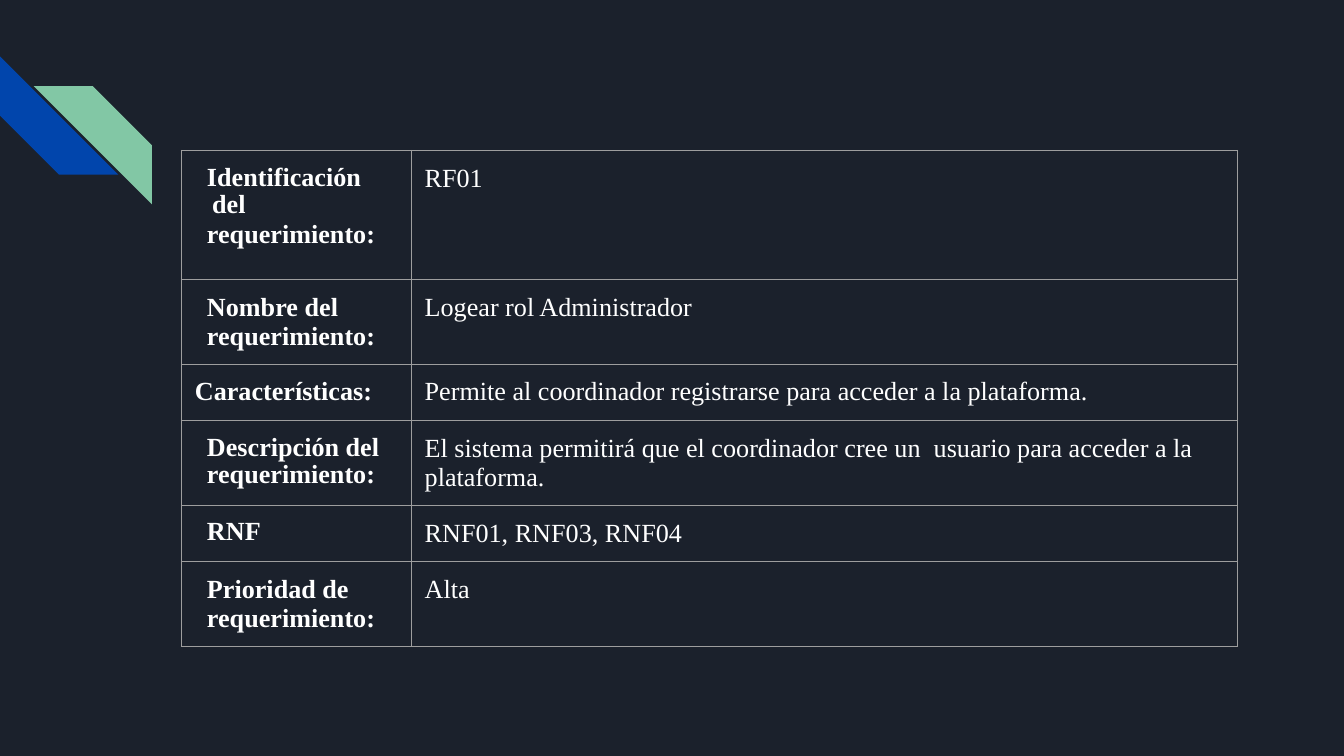
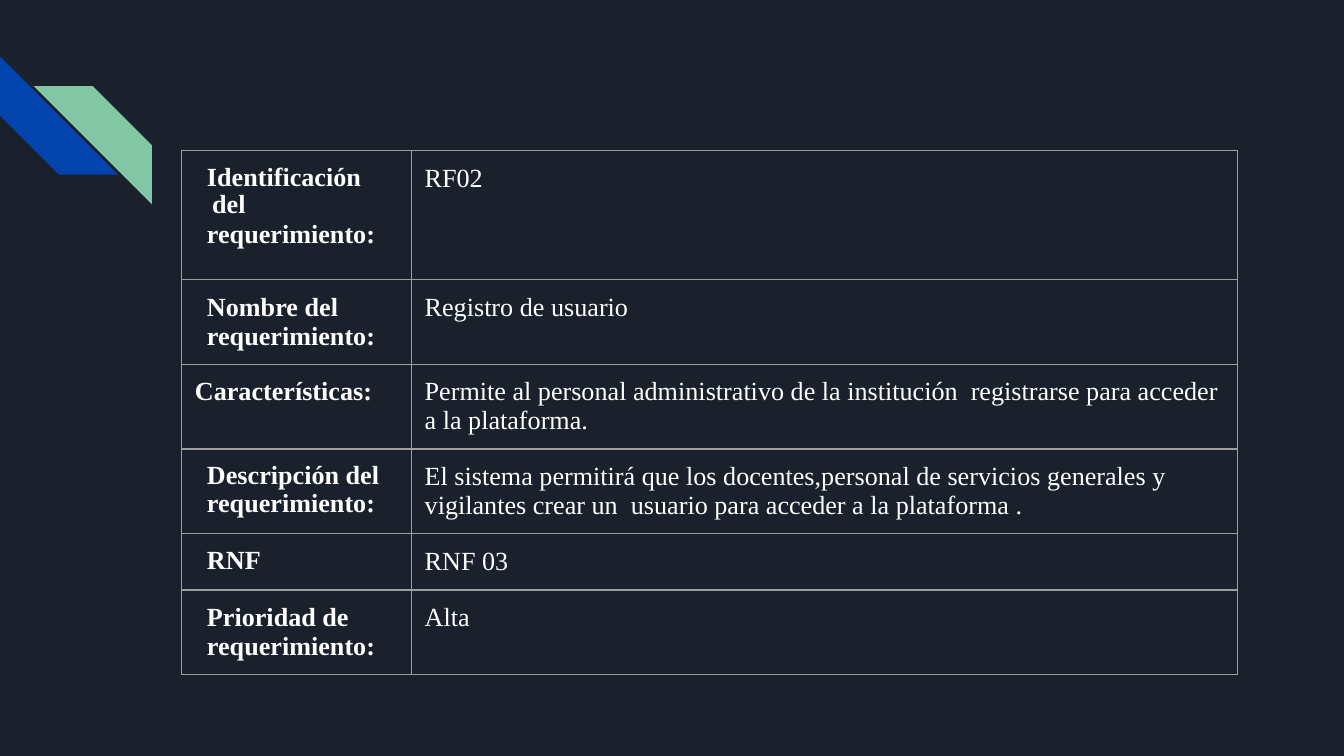
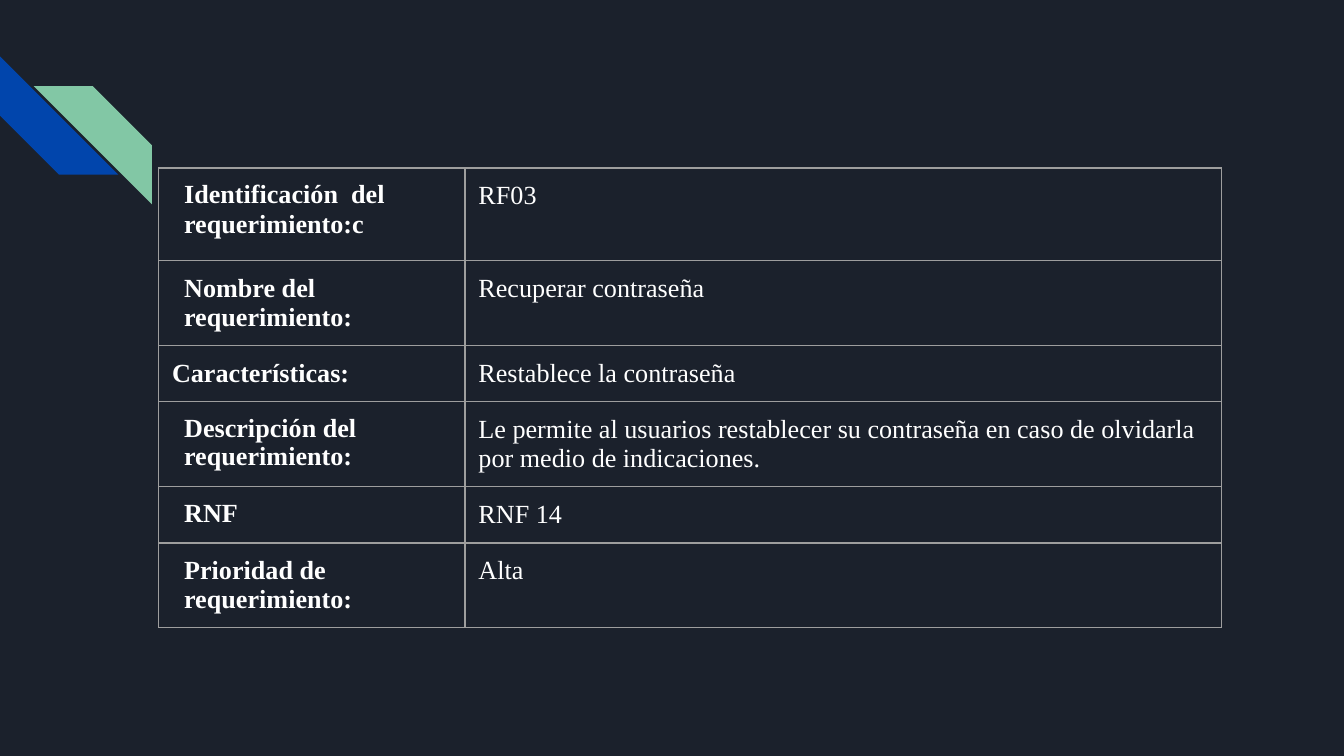
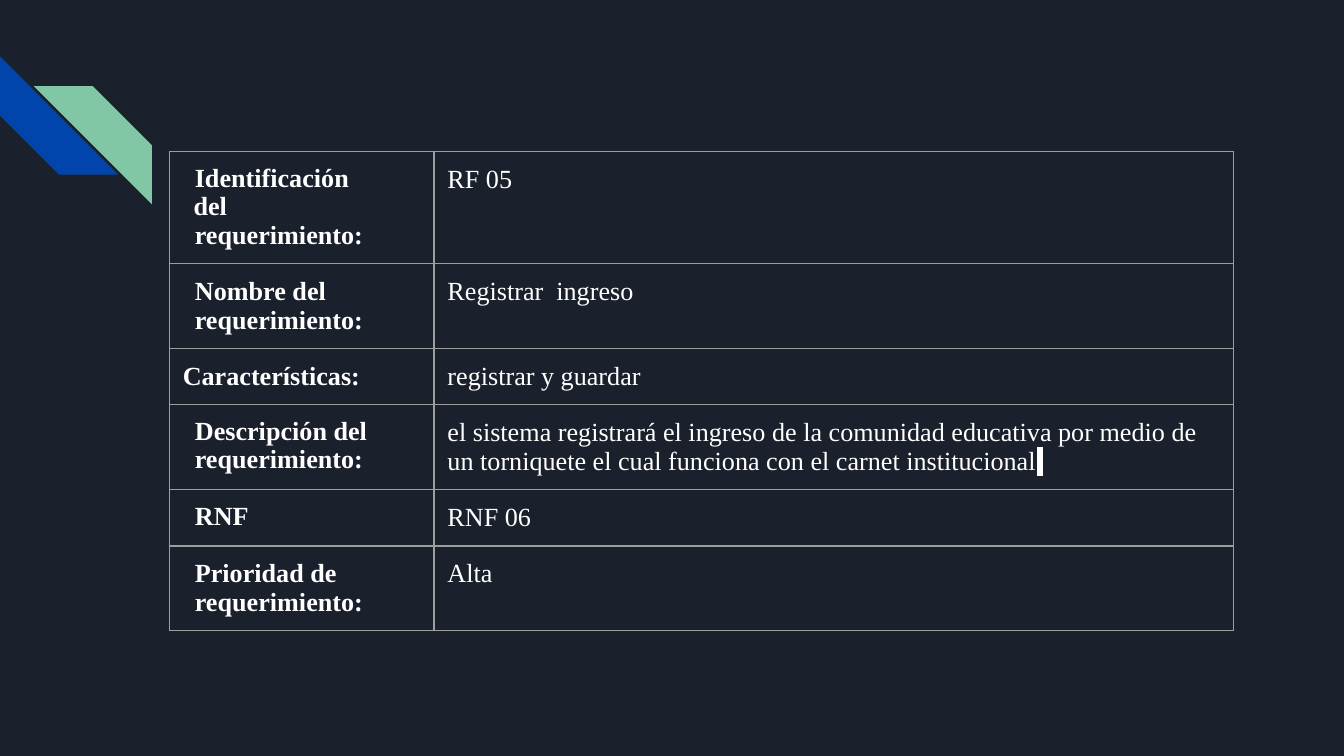
from pptx import Presentation
from pptx.dml.color import RGBColor
from pptx.enum.shapes import MSO_SHAPE as Shape
from pptx.oxml import parse_xml
from pptx.oxml.ns import nsdecls, qn
from pptx.util import Inches, Pt

NIGHT, BLUE, GREEN = "1B212C", "0145AC", "82C7A5"
WHITE, GREY = "FFFFFF", "9E9E9E"
FONT, SIZE = "Times New Roman", 14
NEED = "requerimiento:"
ROW = 0.42


def tint(code):
    return RGBColor.from_string(code)


class Deck:
    """Hold the shared style and the current slide."""

    def __init__(self):
        self.prs = Presentation()
        self.prs.slide_width = Inches(10)
        self.prs.slide_height = Inches(10) * 9 // 16
        back = self.prs.slide_master.background.fill
        back.solid()
        back.fore_color.rgb = tint(NIGHT)

    def page(self):
        self.slide = self.prs.slides.add_slide(self.prs.slide_layouts[6])
        self.stripe(0, 0.42, BLUE, turn=270)
        self.stripe(0.25, 0.64, GREEN, flip=True)

    def stripe(self, left, top, color, turn=0, flip=False):
        side = Inches(0.88)
        shape = self.slide.shapes.add_shape(
            Shape.DIAGONAL_STRIPE, Inches(left), Inches(top), side, side)
        shape.shadow.inherit = False
        shape.fill.solid()
        shape.fill.fore_color.rgb = tint(color)
        shape.line.fill.background()
        shape.rotation = turn
        if flip:
            shape._element.spPr.find(qn("a:xfrm")).set("flipH", "1")

    def run(self, para, text, bold=False, mark=None):
        run = para.add_run()
        run.text = text
        font = run.font
        font.name, font.size, font.bold = FONT, Pt(SIZE), bold
        font.color.rgb = tint(WHITE)
        if mark:
            fill = run._r.rPr.find(qn("a:solidFill"))
            fill.addnext(parse_xml(
                f'<a:highlight {nsdecls("a")}><a:srgbClr val="{mark}"/></a:highlight>'))

    def label(self, cell, lines):
        frame = cell.text_frame
        for i, (text, left, right, shift, space, gap) in enumerate(lines):
            para = frame.add_paragraph() if i else frame.paragraphs[0]
            props = para._p.get_or_add_pPr()
            for key, size in (("marL", left), ("marR", right), ("indent", shift)):
                props.set(key, str(Inches(size)))
            para.line_spacing = space
            para.space_before = Pt(gap)
            self.run(para, text, bold=True)

    def frame(self, cell):
        cell.margin_left = cell.margin_right = Inches(0.1)
        cell.margin_top = cell.margin_bottom = Inches(0.1)
        cell.fill.background()
        props = cell._tc.get_or_add_tcPr()
        for i, side in enumerate("LRTB"):
            props.insert(i, parse_xml(
                f'<a:ln{side} {nsdecls("a")} w="{Pt(0.75)}"><a:solidFill>'
                f'<a:srgbClr val="{GREY}"/></a:solidFill></a:ln{side}>'))

    def table(self, left, top, wide, first, labels, values, caret):
        highs = [first] + [ROW] * (len(labels) - 1)
        table = self.slide.shapes.add_table(
            len(labels), 2, Inches(left), Inches(top),
            Inches(sum(wide)), Inches(sum(highs))).table
        table.first_row = table.horz_banding = False
        for col, width in zip(table.columns, wide):
            col.width = Inches(width)
        for row, high, lines, value in zip(table.rows, highs, labels, values):
            row.height = Inches(high)
            name, data = row.cells
            self.frame(name)
            self.frame(data)
            self.label(name, lines)
            para = data.text_frame.paragraphs[0]
            self.run(para, value)
            if value == caret:
                self.run(para, " ", mark=WHITE)


def plain(text):
    return (text, 0.09, 0, 0, 1.0, 0)


def tight(text):
    return (text, 0.09, 0, 0, 0.96, 0)


def names(tail):
    return [
        [("Identificación  del", 0.08, 0.25, 0.01, 0.96, 0),
         (NEED + tail, 0.09, 0, 0, 1.0, 0.3)],
        [plain("Nombre del"), plain(NEED)],
        [("Características:", 0, 0, 0, 1.0, 0)],
        [tight("Descripción del  " + NEED)],
        [tight("RNF")],
        [plain("Prioridad de"), plain(NEED)],
    ]


ENTRY = ("el sistema registrará el ingreso de la comunidad educativa por medio "
         "de un torniquete el cual funciona con el carnet institucional")

PAGES = [
    (1.35, 1.12, (1.71, 6.15), 0.96, "", [
        "RF01", "Logear rol Administrador",
        "Permite al coordinador registrarse para acceder a la plataforma.",
        "El sistema permitirá que el coordinador cree un  usuario para "
        "acceder a la plataforma.",
        "RNF01, RNF03, RNF04", "Alta"]),
    (1.35, 1.12, (1.71, 6.15), 0.96, "", [
        "RF02", "Registro de usuario",
        "Permite al personal administrativo de la institución  registrarse "
        "para acceder a la plataforma.",
        "El sistema permitirá que los docentes,personal de servicios generales "
        "y vigilantes crear un  usuario para acceder a la plataforma .",
        "RNF 03", "Alta"]),
    (1.18, 1.25, (2.28, 5.63), 0.69, "c", [
        "RF03", "Recuperar contraseña", "Restablece la contraseña",
        "Le permite al usuarios restablecer su contraseña en caso de olvidarla "
        "por medio de indicaciones.",
        "RNF 14", "Alta"]),
    (1.26, 1.13, (1.97, 5.95), ROW, "", [
        "RF 05", "Registrar  ingreso", "registrar y guardar", ENTRY,
        "RNF 06", "Alta"]),
]


def main():
    deck = Deck()
    for left, top, wide, first, tail, values in PAGES:
        deck.page()
        deck.table(left, top, wide, first, names(tail), values, ENTRY)
    deck.prs.save("out.pptx")


if __name__ == "__main__":
    main()
